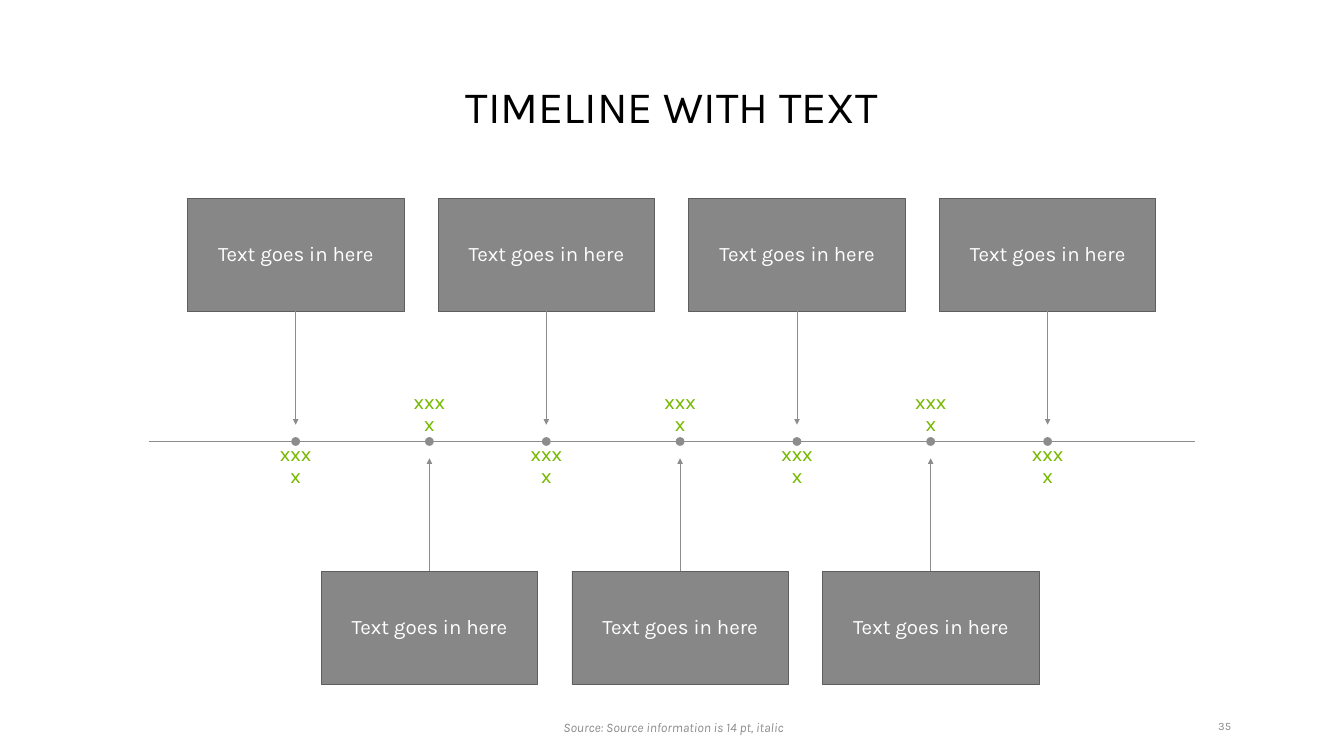
"""Build a timeline slide with text boxes above and below the axis."""
from dataclasses import dataclass

from lxml import etree
from pptx import Presentation
from pptx.dml.color import RGBColor
from pptx.enum.shapes import MSO_CONNECTOR, MSO_SHAPE
from pptx.enum.text import MSO_ANCHOR, MSO_AUTO_SIZE, PP_ALIGN
from pptx.oxml.ns import qn
from pptx.shapes.autoshape import Shape
from pptx.shapes.connector import Connector
from pptx.slide import Slide
from pptx.util import Inches, Pt

STRAIGHT = MSO_CONNECTOR.STRAIGHT
RECTANGLE, OVAL = MSO_SHAPE.RECTANGLE, MSO_SHAPE.OVAL
MIDDLE, BOTTOM = MSO_ANCHOR.MIDDLE, MSO_ANCHOR.BOTTOM
CENTER, RIGHT = PP_ALIGN.CENTER, PP_ALIGN.RIGHT
NO_AUTOFIT = MSO_AUTO_SIZE.NONE

BLACK = RGBColor(0x00, 0x00, 0x00)
WHITE = RGBColor(0xFF, 0xFF, 0xFF)
GRAY = RGBColor(0x8C, 0x8C, 0x8C)
DARK_GRAY = RGBColor(0x5E, 0x5E, 0x5E)
GREEN = RGBColor(0x76, 0xB9, 0x00)

FONT = "Karla"
AXIS_Y = 6.57
STEP = 3.73
BOX_WIDTH, BOX_HEIGHT = 3.22, 1.68
LABEL_WIDTH, LABEL_HEIGHT = 0.82, 0.43
DOT_SIZE = 0.13


@dataclass(frozen=True)
class Row:
    """A row of milestones on one side of the axis."""
    count: int
    first_center: float
    box_top: float
    box_side: int
    arrow_end: float
    label_top: float


ROWS = (
    Row(4, 4.4, 2.95, 2, 6.32, 6.72),
    Row(3, 6.39, 8.5, 0, 6.82, 5.95),
)


def write_text(shape: Shape, text: str, *, size: float, color: RGBColor,
               align: PP_ALIGN = CENTER, anchor: MSO_ANCHOR = MIDDLE,
               italic: bool = False, side_margin: float = 0.1,
               end_margin: float = 0.05) -> None:
    """Put one formatted paragraph into a shape."""
    frame = shape.text_frame
    frame.word_wrap = True
    frame.auto_size = NO_AUTOFIT
    frame.vertical_anchor = anchor
    frame.margin_left = frame.margin_right = Inches(side_margin)
    frame.margin_top = frame.margin_bottom = Inches(end_margin)
    paragraph = frame.paragraphs[0]
    paragraph.alignment = align
    paragraph.line_spacing = 0.9
    span = paragraph.add_run()
    span.text = text
    span.font.name = FONT
    span.font.size = Pt(size)
    span.font.italic = italic
    span.font.color.rgb = color


def add_text(page: Slide, left: float, top: float, width: float,
             height: float) -> Shape:
    """Add an empty text box."""
    return page.shapes.add_textbox(Inches(left), Inches(top),
                                   Inches(width), Inches(height))


def add_line(page: Slide, start: tuple[float, float],
             end: tuple[float, float], width: float,
             arrow: bool = False) -> Connector:
    """Add a straight gray line, with an arrowhead at its end if asked."""
    line = page.shapes.add_connector(STRAIGHT, *map(Inches, start + end))
    line.line.color.rgb = GRAY
    line.line.width = Pt(width)
    if arrow:
        outline = line.line._get_or_add_ln()
        etree.SubElement(outline, qn("a:tailEnd"), type="triangle")
    etree.SubElement(line._element.spPr, qn("a:effectLst"))
    return line


def add_box(page: Slide, center: float, top: float) -> Shape:
    """Add a translucent milestone box with its text."""
    box = page.shapes.add_shape(
        RECTANGLE, Inches(center - BOX_WIDTH / 2), Inches(top),
        Inches(BOX_WIDTH), Inches(BOX_HEIGHT))
    box.shadow.inherit = False
    box.fill.solid()
    box.fill.fore_color.rgb = BLACK
    color = box._element.spPr.find(qn("a:solidFill")).find(qn("a:srgbClr"))
    etree.SubElement(color, qn("a:alpha"), val="47000")
    box.line.color.rgb = DARK_GRAY
    box.line.width = Pt(0.75)
    write_text(box, "Text goes in here", size=22, color=WHITE)
    return box


def add_dot(page: Slide, center: float) -> None:
    """Mark a milestone on the axis."""
    dot = page.shapes.add_shape(
        OVAL, Inches(center - DOT_SIZE / 2), Inches(AXIS_Y - DOT_SIZE / 2),
        Inches(DOT_SIZE), Inches(DOT_SIZE))
    dot.shadow.inherit = False
    dot.fill.solid()
    dot.fill.fore_color.rgb = GRAY
    dot.line.fill.background()


def add_milestone(page: Slide, row: Row, center: float) -> None:
    """Add the label, box, arrow and dot of one milestone."""
    label = add_text(page, center - LABEL_WIDTH / 2, row.label_top,
                     LABEL_WIDTH, LABEL_HEIGHT)
    write_text(label, "xxxx", size=22, color=GREEN, side_margin=0.12)
    box = add_box(page, center, row.box_top)
    arrow = add_line(page, (center, row.box_top), (center, row.arrow_end),
                     0.75, arrow=True)
    arrow.begin_connect(box, row.box_side)
    add_dot(page, center)


def main() -> None:
    """Build and save the deck."""
    deck = Presentation()
    deck.slide_width, deck.slide_height = Inches(20), Inches(11.25)
    page = deck.slides.add_slide(deck.slide_layouts[5])

    title = page.shapes.title
    title.left, title.top = Inches(0.91), Inches(0.95)
    title.width, title.height = Inches(18.18), Inches(1.08)
    write_text(title, "TIMELINE WITH TEXT", size=48, color=BLACK,
               anchor=BOTTOM)

    for row in ROWS:
        for index in range(row.count):
            add_milestone(page, row, row.first_center + index * STEP)
    add_line(page, (2.21, AXIS_Y), (17.79, AXIS_Y), 1)

    source = add_text(page, 0.95, 10.54, 18.15, 0.45)
    write_text(source, "Source: Source information is 14 pt, italic",
               size=14, color=GRAY, anchor=BOTTOM, italic=True)
    number = add_text(page, 17.77, 10.71, 0.55, 0.2)
    write_text(number, "35", size=12, color=GRAY, align=RIGHT,
               side_margin=0, end_margin=0)
    deck.save("out.pptx")


if __name__ == "__main__":
    main()
